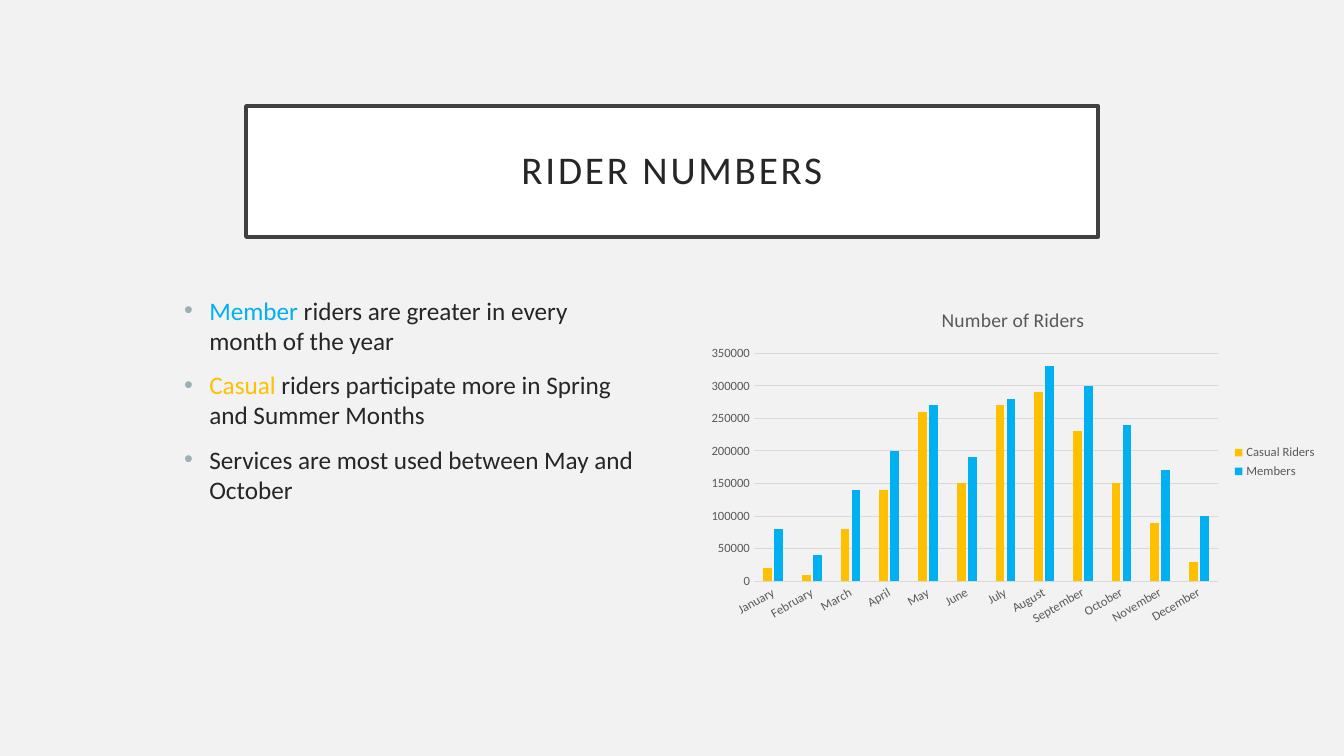
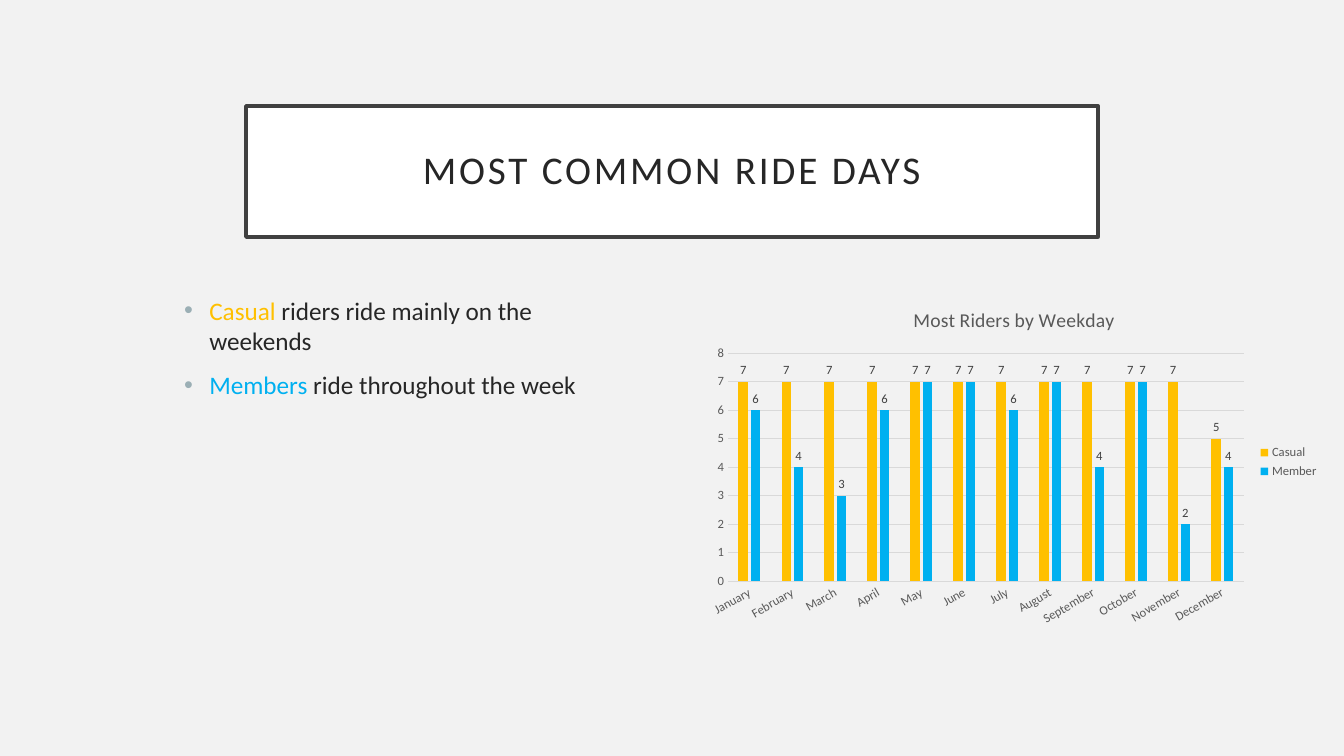
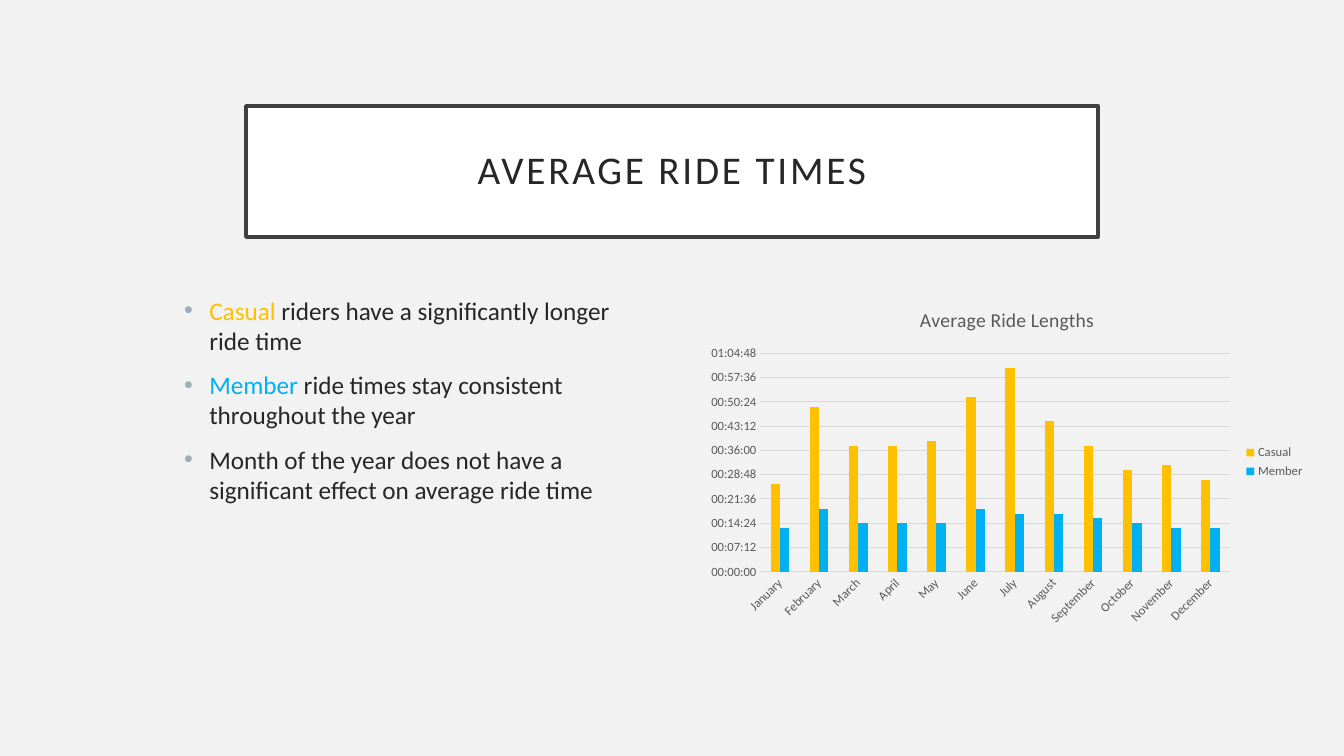
from pptx import Presentation
from pptx import util as u
from pptx.chart.data import CategoryChartData
from pptx.dml.color import RGBColor
from pptx.enum import chart as ch, text
from pptx.oxml import parse_xml
from pptx.oxml.ns import nsdecls, qn

COLORS = {
    "background": "F2F2F2", "panel": "FFFFFF", "border": "404040",
    "text": "262626", "bullet": "9BAFB5", "casual": "FFC000",
    "member": "00B0F0", "label": "595959", "grid": "D9D9D9",
}
FONT = "Calibri"
PX = 12192000 / 1344
TITLE_BOX = (246, 106, 852, 131)
BODY_BOX = (174, 290, 471, 342)
CHART_LEFT, CHART_TOP, CHART_HEIGHT = 699, 291, 342

MONTHS = ["January", "February", "March", "April", "May", "June", "July",
          "August", "September", "October", "November", "December"]

# Each bullet is a list of (text, colour) runs; each series is (name, colour, values).
SLIDES = [
    {
        "title": "RIDER NUMBERS",
        "bullets": [
            [("Member", "member"),
             (" riders are greater in every month of the year", "text")],
            [("Casual ", "casual"),
             ("riders participate more in Spring and Summer Months", "text")],
            [("Services are most used between May and October", "text")],
        ],
        "chart": {
            "title": "Number of Riders", "width": 628, "overlap": -27,
            "max": 350000, "step": 50000, "format": "General",
            "angle": -30, "labels": False,
            "series": [
                ("Casual Riders", "casual",
                 [20000, 10000, 80000, 140000, 260000, 150000,
                  270000, 290000, 230000, 150000, 90000, 30000]),
                ("Members", "member",
                 [80000, 40000, 140000, 200000, 270000, 190000,
                  280000, 330000, 300000, 240000, 170000, 100000]),
            ],
        },
    },
    {
        "title": "MOST COMMON RIDE DAYS",
        "bullets": [
            [("Casual ", "casual"), ("riders ride mainly on the weekends", "text")],
            [("Members", "member"), (" ride throughout the week", "text")],
        ],
        "chart": {
            "title": "Most Riders by Weekday", "width": 630, "overlap": -27,
            "max": 8, "step": 1, "format": "General",
            "angle": -30, "labels": True,
            "series": [
                ("Casual", "casual", [7, 7, 7, 7, 7, 7, 7, 7, 7, 7, 7, 5]),
                ("Member", "member", [6, 4, 3, 6, 7, 7, 6, 7, 4, 7, 2, 4]),
            ],
        },
    },
    {
        "title": "AVERAGE RIDE TIMES",
        "bullets": [
            [("Casual", "casual"),
             (" riders have a significantly longer ride time", "text")],
            [("Member", "member"),
             (" ride times stay consistent throughout the year", "text")],
            [("Month of the year does not have a significant effect "
              "on average ride time", "text")],
        ],
        "chart": {
            "title": "Average Ride Lengths", "width": 616, "overlap": 0,
            "max": 0.045, "step": 0.005, "format": "hh:mm:ss;@",
            "angle": -45, "labels": False,
            "series": [
                ("Casual", "casual",
                 [0.018, 0.034, 0.026, 0.026, 0.027, 0.036,
                  0.042, 0.031, 0.026, 0.021, 0.022, 0.019]),
                ("Member", "member",
                 [0.009, 0.013, 0.01, 0.01, 0.01, 0.013,
                  0.012, 0.012, 0.011, 0.01, 0.009, 0.009]),
            ],
        },
    },
]


def px(n):
    return u.Emu(round(n * PX))


def rgb(name):
    return RGBColor.from_string(COLORS[name])


def set_fill(fill, color):
    fill.solid()
    fill.fore_color.rgb = rgb(color)


def set_line(line, color, width):
    set_fill(line.fill, color)
    line.width = u.Pt(width)


def set_font(font, size, color):
    font.name, font.size, font.bold = FONT, u.Pt(size), False
    font.color.rgb = rgb(color)


def place(sp, box):
    sp.left, sp.top, sp.width, sp.height = map(px, box)


def set_list_style(sp, attrs, paragraph, run_attrs):
    """Set the first-level text style that slides inherit from a layout placeholder."""
    body = sp.text_frame._txBody
    old = body.find(qn("a:lstStyle"))
    if old is not None:
        body.remove(old)
    style = parse_xml(
        f'<a:lstStyle {nsdecls("a")}><a:lvl1pPr {attrs}>{paragraph}'
        f'<a:defRPr {run_attrs}><a:solidFill><a:srgbClr val="{COLORS["text"]}"/>'
        f'</a:solidFill><a:latin typeface="{FONT}"/></a:defRPr>'
        f'</a:lvl1pPr></a:lstStyle>')
    body.find(qn("a:bodyPr")).addnext(style)


def style_layout(layout):
    title, body = layout.placeholders[0], layout.placeholders[1]
    set_fill(layout.slide_master.background.fill, "background")

    place(title, TITLE_BOX)
    set_fill(title.fill, "panel")
    set_line(title.line, "border", 2.5)
    tf = title.text_frame
    tf.vertical_anchor = text.MSO_ANCHOR.MIDDLE
    tf.margin_left = tf.margin_right = tf.margin_top = tf.margin_bottom = px(20)
    set_list_style(title, 'algn="ctr"', '<a:lnSpc><a:spcPct val="90000"/></a:lnSpc>',
                   'sz="2800" spc="200"')

    place(body, BODY_BOX)
    set_list_style(
        body, 'marL="228600" indent="-228600"',
        '<a:spcBef><a:spcPts val="1000"/></a:spcBef>'
        f'<a:buClr><a:srgbClr val="{COLORS["bullet"]}"/></a:buClr>'
        '<a:buFont typeface="Arial"/><a:buChar char="•"/>', 'sz="1800"')


def add_bullets(tf, bullets):
    for i, runs in enumerate(bullets):
        p = tf.paragraphs[0] if i == 0 else tf.add_paragraph()
        for words, color in runs:
            r = p.add_run()
            r.text = words
            r.font.color.rgb = rgb(color)


def style_axes(chart, spec_):
    months, values = chart.category_axis, chart.value_axis
    for axis in (months, values):
        axis.major_tick_mark = axis.minor_tick_mark = ch.XL_TICK_MARK.NONE
        set_font(axis.tick_labels.font, 9, "label")
    set_line(months.format.line, "grid", 0.75)
    months._element.txPr.bodyPr.set("rot", str(spec_["angle"] * 60000))
    values.format.line.fill.background()
    set_line(values.major_gridlines.format.line, "grid", 0.75)
    values.minimum_scale, values.maximum_scale = 0, spec_["max"]
    values.major_unit = spec_["step"]
    values.tick_labels.number_format = spec_["format"]
    values.tick_labels.number_format_is_linked = False


def add_column_chart(slide, spec_):
    data = CategoryChartData(number_format=spec_["format"])
    data.categories = MONTHS
    for name, _, values in spec_["series"]:
        data.add_series(name, values)
    box = map(px, (CHART_LEFT, CHART_TOP, spec_["width"], CHART_HEIGHT))
    chart = slide.shapes.add_chart(ch.XL_CHART_TYPE.COLUMN_CLUSTERED, *box, data).chart
    set_font(chart.font, 10, "text")

    tf = chart.chart_title.text_frame
    r = tf.paragraphs[0].add_run()
    r.text = spec_["title"]
    set_font(r.font, 14, "label")
    chart.chart_title.include_in_layout = False

    chart.has_legend = True
    chart.legend.position = ch.XL_LEGEND_POSITION.RIGHT
    chart.legend.include_in_layout = False
    set_font(chart.legend.font, 9, "label")
    style_axes(chart, spec_)

    plot = chart.plots[0]
    plot.gap_width, plot.overlap = 219, spec_["overlap"]
    plot.vary_by_categories = False
    for series, (_, color, _) in zip(plot.series, spec_["series"]):
        set_fill(series.format.fill, color)
        series.invert_if_negative = False
        if spec_["labels"]:
            labels = series.data_labels
            labels.show_value = True
            labels.position = ch.XL_LABEL_POSITION.OUTSIDE_END
            set_font(labels.font, 9, "border")


def main():
    prs = Presentation()
    prs.slide_width, prs.slide_height = px(1344), px(756)
    layout = prs.slide_layouts[1]
    style_layout(layout)
    for content in SLIDES:
        slide = prs.slides.add_slide(layout)
        slide.shapes.title.text_frame.paragraphs[0].add_run().text = content["title"]
        add_bullets(slide.placeholders[1].text_frame, content["bullets"])
        add_column_chart(slide, content["chart"])
    prs.save("out.pptx")


if __name__ == "__main__":
    main()
